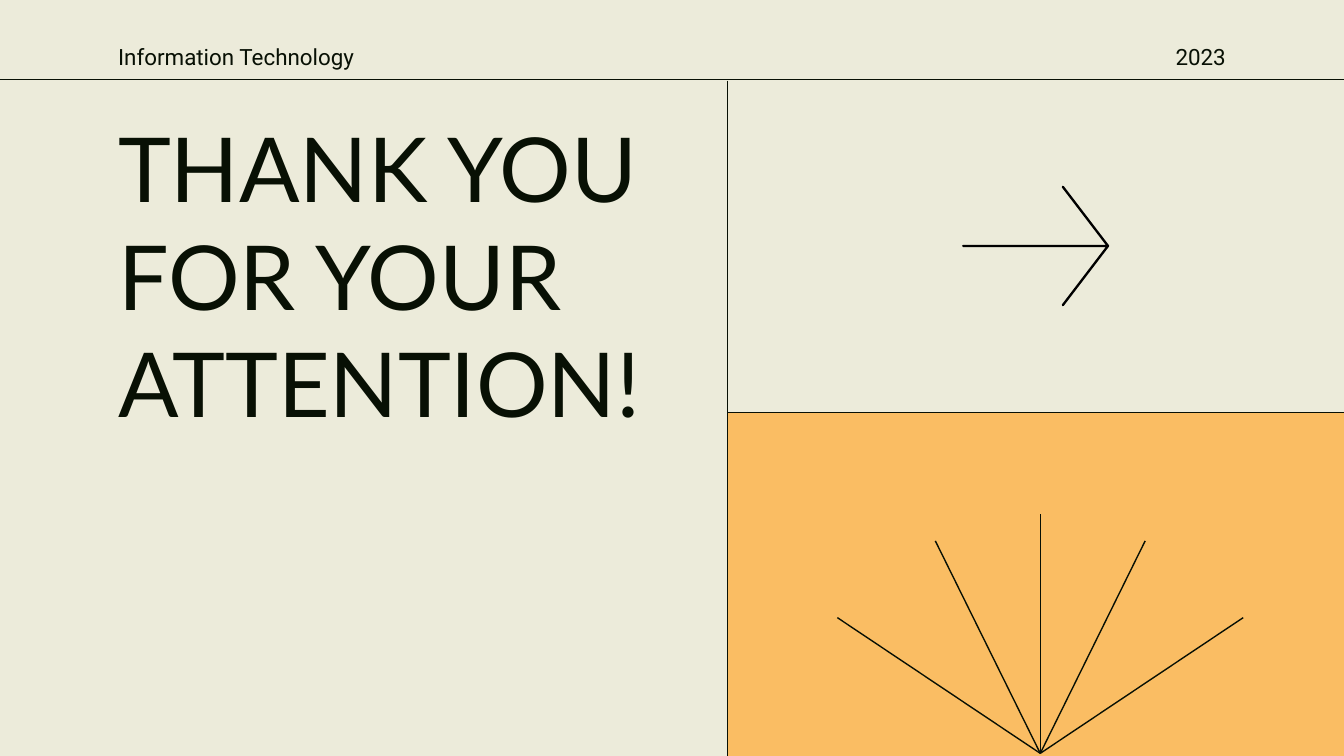
from collections import namedtuple
from dataclasses import dataclass

from pptx import Presentation
from pptx.dml.color import RGBColor
from pptx.enum.shapes import MSO_CONNECTOR as Connector, MSO_SHAPE as Shape
from pptx.enum.text import MSO_ANCHOR as Anchor, PP_ALIGN as Align
from pptx.oxml.ns import qn
from pptx.util import Pt
from lxml.etree import SubElement

Box = namedtuple("Box", "left top width height")


@dataclass(frozen=True)
class Theme:
    paper: RGBColor = RGBColor.from_string("ECEBDA")
    ink: RGBColor = RGBColor.from_string("081004")
    accent: RGBColor = RGBColor.from_string("FABD63")
    arrow: RGBColor = RGBColor.from_string("000000")
    title_font: str = "Lato"
    label_font: str = "Roboto"
    title_size: float = 48
    label_size: float = 12
    rule: float = 0.75
    arrow_line: float = 1.25
    inset: float = 7.2


THEME = Theme()


def add_rule(page, x1, y1, x2, y2):
    rule = page.shapes.add_connector(
        Connector.STRAIGHT, Pt(x1), Pt(y1), Pt(x2), Pt(y2))
    rule.line.color.rgb = THEME.ink
    rule.line.width = Pt(THEME.rule)
    SubElement(rule._element.spPr, qn("a:effectLst"))


def add_text(page, box, text, font, size, anchor=Anchor.TOP, align=Align.LEFT):
    frame = page.shapes.add_textbox(*map(Pt, box)).text_frame
    frame.word_wrap = True
    frame.vertical_anchor = anchor
    frame.margin_left = frame.margin_right = Pt(THEME.inset)
    frame.margin_top = frame.margin_bottom = Pt(THEME.inset)
    para = frame.paragraphs[0]
    para.text = text
    para.alignment = align
    para.font.name = font
    para.font.size = Pt(size)
    para.font.color.rgb = THEME.ink


def add_header(page, box, topic, year):
    label_top, label_height, margin = 18, 24.5, 56.2
    bottom = box.top + box.height
    add_rule(page, box.left, bottom, box.left + box.width, bottom)
    width = (box.width - 2 * margin) / 2
    for column, (text, align) in enumerate([(topic, Align.LEFT), (year, Align.RIGHT)]):
        label = Box(box.left + margin + column * width, box.top + label_top,
                    width, label_height)
        add_text(page, label, text, THEME.label_font, THEME.label_size,
                 Anchor.MIDDLE, align)


def add_title(page, box, text):
    add_text(page, box, text, THEME.title_font, THEME.title_size)


def add_arrow_panel(page, box):
    half_width, half_height, head = 38.8, 31.7, 24.2
    center_x = box.left + box.width / 2
    center_y = box.top + box.height / 2
    tip = (center_x + half_width, center_y)
    tail = (center_x - half_width, center_y)
    upper = (tip[0] - head, center_y - half_height)
    lower = (tip[0] - head, center_y + half_height)
    builder = page.shapes.build_freeform(*map(Pt, upper))
    builder.add_line_segments(
        [tuple(map(Pt, point)) for point in (tip, tail, tip, lower, tip)], close=True)
    arrow = builder.convert_to_shape()
    arrow.shadow.inherit = False
    arrow.fill.solid()
    arrow.fill.fore_color.rgb = THEME.arrow
    arrow.line.color.rgb = THEME.arrow
    arrow.line.width = Pt(THEME.arrow_line)


def add_ray_panel(page, box):
    panel = page.shapes.add_shape(Shape.RECTANGLE, *map(Pt, box))
    panel.shadow.inherit = False
    panel.fill.solid()
    panel.fill.fore_color.rgb = THEME.accent
    panel.line.fill.background()
    add_rule(page, box.left, box.top, box.left + box.width, box.top)
    hub_x = box.left + box.width / 2 + 2.5
    hub_y = box.top + box.height - 1.4
    for reach, rise in [(-108.7, 72.7), (-56.2, 113.8), (0, 128.2),
                        (56.2, 113.8), (108.7, 72.7)]:
        add_rule(page, hub_x, hub_y, hub_x + reach, hub_y - rise)


def main():
    deck = Presentation()
    width, height = 720, 405
    deck.slide_width, deck.slide_height = Pt(width), Pt(height)
    page = deck.slides.add_slide(deck.slide_layouts[6])
    page.background.fill.solid()
    page.background.fill.fore_color.rgb = THEME.paper

    header, split_x, split_y = 42.5, 389.6, 221
    right = width - split_x
    add_header(page, Box(0, 0, width, header), "Information Technology", "2023")
    add_title(page, Box(56.2, 53.3, 311.8, 221.8), "THANK YOU FOR YOUR ATTENTION!")
    add_arrow_panel(page, Box(split_x, header, right, split_y - header))
    add_ray_panel(page, Box(split_x, split_y, right, height - split_y))
    add_rule(page, split_x, header + 0.7, split_x, height)
    deck.save("out.pptx")


if __name__ == "__main__":
    main()
